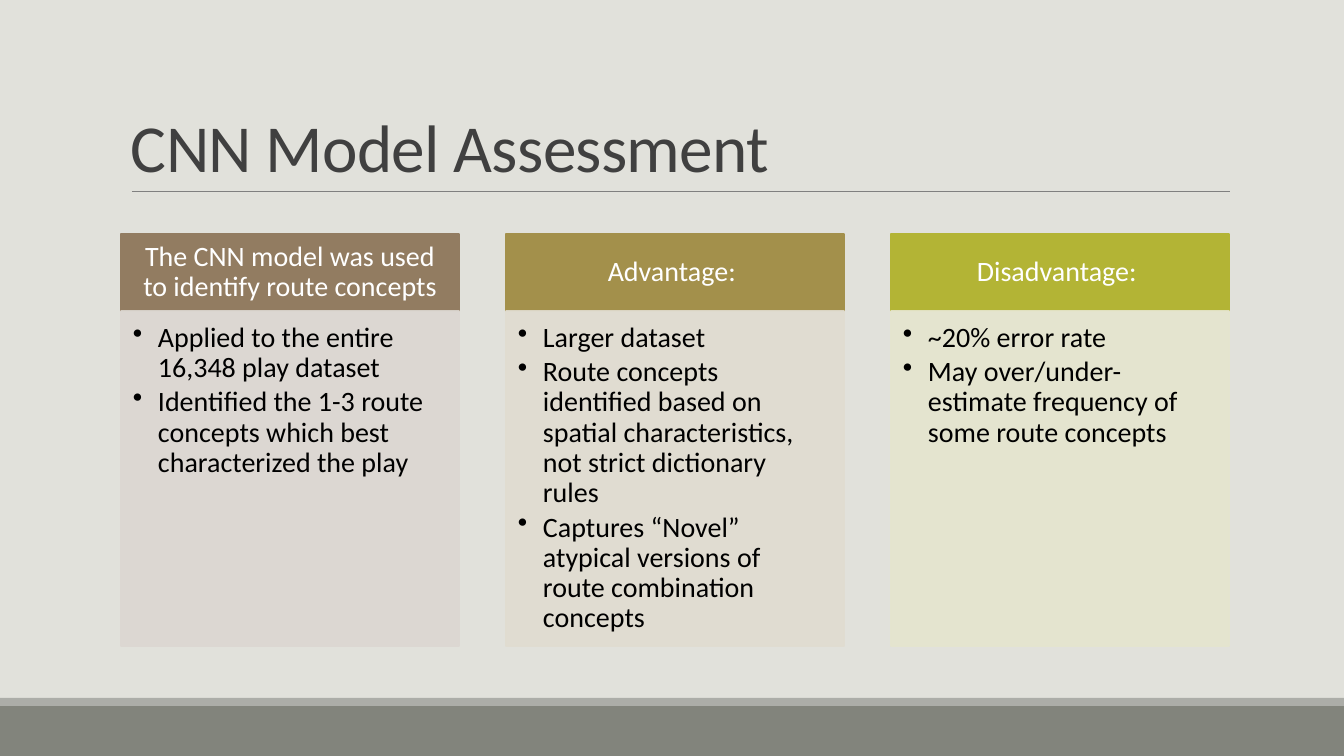
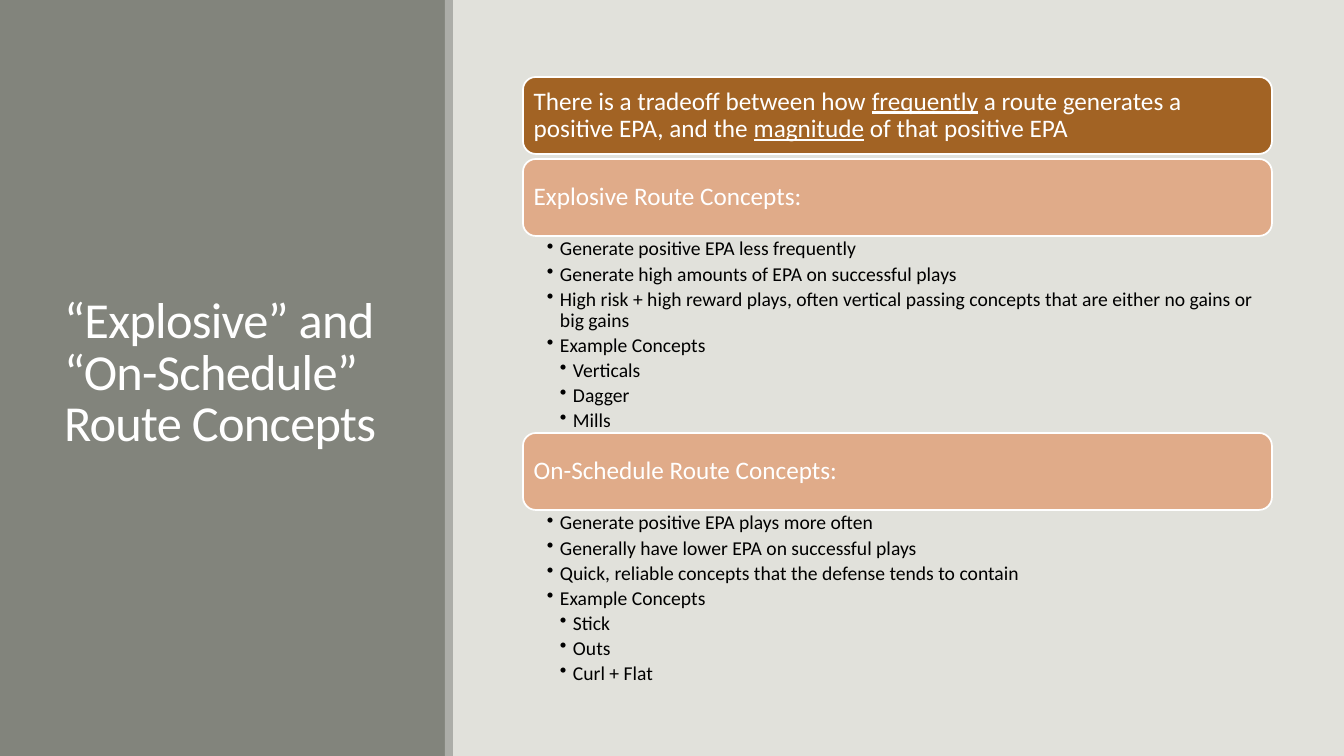
"""Build two slides on route concepts in American football."""
from dataclasses import dataclass

from lxml import etree
from pptx import Presentation
from pptx.dml.color import RGBColor
from pptx.enum.shapes import MSO_CONNECTOR, MSO_SHAPE
from pptx.enum.text import MSO_ANCHOR, MSO_AUTO_SIZE, PP_ALIGN
from pptx.oxml.ns import qn
from pptx.util import Emu, Pt

RECTANGLE = MSO_SHAPE.RECTANGLE
ROUNDED = MSO_SHAPE.ROUNDED_RECTANGLE
STRAIGHT = MSO_CONNECTOR.STRAIGHT
TOP, MIDDLE, BOTTOM = MSO_ANCHOR.TOP, MSO_ANCHOR.MIDDLE, MSO_ANCHOR.BOTTOM
LEFT, CENTER = PP_ALIGN.LEFT, PP_ALIGN.CENTER
NO_AUTOFIT = MSO_AUTO_SIZE.NONE

BACKGROUND = RGBColor(0xE1, 0xE1, 0xDB)
BAND = RGBColor(0x82, 0x84, 0x7C)
STRIP = RGBColor(0xAC, 0xAD, 0xA8)
RULE = RGBColor(0x80, 0x80, 0x80)
DARK = RGBColor(0x40, 0x40, 0x40)
BLACK = RGBColor(0x00, 0x00, 0x00)
WHITE = RGBColor(0xFF, 0xFF, 0xFF)
BROWN = RGBColor(0x92, 0x7C, 0x61)
PALE_BROWN = RGBColor(0xDC, 0xD7, 0xD2)
OCHRE = RGBColor(0xA3, 0x90, 0x4B)
PALE_OCHRE = RGBColor(0xE0, 0xDC, 0xD0)
LIME = RGBColor(0xB3, 0xB4, 0x35)
PALE_LIME = RGBColor(0xE5, 0xE5, 0xCE)
RUST = RGBColor(0xA2, 0x63, 0x24)
PEACH = RGBColor(0xE0, 0xAB, 0x89)

FONT = "Calibri"
SLIDE_WIDTH, SLIDE_HEIGHT = 1344, 756
EMU_PER_PX = 12192000 / SLIDE_WIDTH
TITLE_ONLY = 5


@dataclass(frozen=True)
class Box:
    """A rectangle on the slide, in px."""
    left: int
    top: int
    width: int
    height: int


@dataclass(frozen=True)
class Column:
    """A heading above a tinted panel of bullets."""
    heading: str
    bullets: list[str]
    color: RGBColor
    tint: RGBColor


@dataclass(frozen=True)
class Section:
    """A rounded banner with bullets and examples below it."""
    top: int
    heading: str
    bullets: list[str]
    examples: list[str]


COLUMNS = [
    Column("The CNN model was used to identify route concepts",
           ["Applied to the entire 16,348 play dataset",
            "Identified the 1-3 route concepts which best characterized the play"],
           BROWN, PALE_BROWN),
    Column("Advantage: ",
           ["Larger dataset",
            "Route concepts identified based on spatial characteristics, "
            "not strict dictionary rules",
            "Captures “Novel” atypical versions of route combination concepts"],
           OCHRE, PALE_OCHRE),
    Column("Disadvantage: ",
           ["~20% error rate",
            "May over/under-estimate frequency of some route concepts"],
           LIME, PALE_LIME),
]
COLUMN_LEFT, COLUMN_TOP, COLUMN_WIDTH, COLUMN_PITCH = 121, 234, 338, 385
HEADING_HEIGHT, PANEL_HEIGHT = 77, 335

TRADEOFF = ("There is a tradeoff between how _frequently_ a route generates a "
            "positive EPA, and the _magnitude_ of that positive EPA")
SECTIONS = [
    Section(159, "Explosive Route Concepts:",
            ["Generate positive EPA less frequently",
             "Generate high amounts of EPA on successful plays",
             "High risk + high reward plays, often vertical passing concepts "
             "that are either no gains or big gains",
             "Example Concepts"],
            ["Verticals", "Dagger", "Mills"]),
    Section(433, "On-Schedule Route Concepts:",
            ["Generate positive EPA plays more often",
             "Generally have lower EPA on successful plays",
             "Quick, reliable concepts that the defense tends to contain",
             "Example Concepts"],
            ["Stick", "Outs", "Curl + Flat"]),
]
BANNER_LEFT, BANNER_WIDTH, BANNER_HEIGHT = 523, 749, 77
BULLETS_HEIGHT = 197


def px(length: int) -> Emu:
    """Turn px into EMU."""
    return Emu(round(length * EMU_PER_PX))


def place(box: Box) -> tuple[Emu, Emu, Emu, Emu]:
    """Give the EMU position and size of a box."""
    return px(box.left), px(box.top), px(box.width), px(box.height)


def add_bullet(paragraph, level: int, indent: int) -> None:
    """Give a paragraph a hanging bullet at its level."""
    paragraph.level = level
    properties = paragraph._p.get_or_add_pPr()
    properties.set("marL", str(px(indent * level)))
    properties.set("indent", str(-px(indent)))
    etree.SubElement(properties, qn("a:buChar")).set("char", "•")


def write_text(shape, lines: list[tuple[str, int]], *, size: int, color: RGBColor,
               align=LEFT, anchor=MIDDLE, insets=(10, 5, 10, 5), line_spacing=0.9,
               space_after=0.0, tracking=0, bullet_indent=0) -> None:
    """Write (text, bullet level) lines, underlining words between underscores."""
    frame = shape.text_frame
    frame.word_wrap = True
    frame.auto_size = NO_AUTOFIT
    frame.vertical_anchor = anchor
    (frame.margin_left, frame.margin_top,
     frame.margin_right, frame.margin_bottom) = map(px, insets)
    for index, (text, level) in enumerate(lines):
        paragraph = frame.add_paragraph() if index else frame.paragraphs[0]
        paragraph.alignment = align
        paragraph.line_spacing = line_spacing
        paragraph.space_after = Pt(space_after)
        if level:
            add_bullet(paragraph, level, bullet_indent)
        for position, part in enumerate(text.split("_")):
            run = paragraph.add_run()
            run.text = part
            run.font.name = FONT
            run.font.size = Pt(size)
            run.font.color.rgb = color
            if position % 2:
                run.font.underline = True
            if tracking:
                run._r.get_or_add_rPr().set("spc", str(tracking))


def add_block(slide, box: Box, fill: RGBColor, *, outline: RGBColor | None = None,
              kind=RECTANGLE, opacity=100):
    """Draw a filled shape with an optional outline."""
    shape = slide.shapes.add_shape(kind, *place(box))
    shape.shadow.inherit = False
    shape.fill.solid()
    shape.fill.fore_color.rgb = fill
    if outline is None:
        shape.line.fill.background()
    else:
        shape.line.color.rgb = outline
        shape.line.width = Pt(1.25)
    if opacity < 100:
        for color in shape._element.spPr.iter(qn("a:srgbClr")):
            etree.SubElement(color, qn("a:alpha")).set("val", str(opacity * 1000))
    return shape


def add_rule(slide, left: int, right: int, top: int) -> None:
    """Draw the thin line under a title."""
    rule = slide.shapes.add_connector(STRAIGHT, px(left), px(top), px(right), px(top))
    rule.line.color.rgb = RULE
    rule.line.width = Pt(0.5)
    etree.SubElement(rule._element.spPr, qn("a:effectLst"))


def add_slide(presentation, band: Box, strip: Box, title: str, title_box: Box, *,
              size: int, color: RGBColor, anchor):
    """Add a slide with its band, its strip and its title in front."""
    slide = presentation.slides.add_slide(presentation.slide_layouts[TITLE_ONLY])
    add_block(slide, band, BAND)
    add_block(slide, strip, STRIP)
    placeholder = slide.shapes.title
    placeholder.left, placeholder.top, placeholder.width, placeholder.height = place(title_box)
    write_text(placeholder, [(title, 0)], size=size, color=color, anchor=anchor,
               line_spacing=0.85, tracking=-50)
    slide.shapes._spTree.append(placeholder._element)
    return slide


def add_column(slide, column: Column, left: int) -> None:
    """Draw a heading and its panel of bullets."""
    heading = add_block(slide, Box(left, COLUMN_TOP, COLUMN_WIDTH, HEADING_HEIGHT),
                        column.color, outline=column.color)
    write_text(heading, [(column.heading, 0)], size=20, color=WHITE, align=CENTER,
               insets=(16, 9, 16, 9))
    panel = add_block(
        slide, Box(left, COLUMN_TOP + HEADING_HEIGHT, COLUMN_WIDTH, PANEL_HEIGHT),
        column.tint, outline=column.tint, opacity=90)
    write_text(panel, [(text, 1) for text in column.bullets], size=20, color=BLACK,
               anchor=TOP, insets=(12, 12, 16, 17), space_after=3, bullet_indent=25)


def add_banner(slide, text: str, top: int, fill: RGBColor) -> None:
    """Draw a rounded banner with its text."""
    banner = add_block(slide, Box(BANNER_LEFT, top, BANNER_WIDTH, BANNER_HEIGHT), fill,
                       outline=WHITE, kind=ROUNDED)
    write_text(banner, [(text, 0)], size=18, color=WHITE, insets=(7, 7, 7, 7))


def add_section(slide, section: Section) -> None:
    """Draw a banner and the bullets below it."""
    add_banner(slide, section.heading, section.top, PEACH)
    box = Box(BANNER_LEFT, section.top + BANNER_HEIGHT, BANNER_WIDTH, BULLETS_HEIGHT)
    lines = [(text, 1) for text in section.bullets]
    lines += [(text, 2) for text in section.examples]
    write_text(slide.shapes.add_textbox(*place(box)), lines, size=14, color=BLACK,
               anchor=TOP, insets=(24, 3, 14, 3), space_after=2.8, bullet_indent=13)


def build_assessment(presentation) -> None:
    """Build the slide that assesses the model."""
    slide = add_slide(presentation, Box(0, 706, SLIDE_WIDTH, 50),
                      Box(0, 698, SLIDE_WIDTH, 8), "CNN Model Assessment",
                      Box(121, 31, 1109, 160), size=48, color=DARK, anchor=BOTTOM)
    add_rule(slide, 132, 1230, 191)
    for index, column in enumerate(COLUMNS):
        add_column(slide, column, COLUMN_LEFT + index * COLUMN_PITCH)


def build_concepts(presentation) -> None:
    """Build the slide that compares the two kinds of concept."""
    slide = add_slide(presentation, Box(0, 0, 446, SLIDE_HEIGHT),
                      Box(445, 0, 8, SLIDE_HEIGHT),
                      "“Explosive” and “On-Schedule” Route Concepts",
                      Box(54, 57, 340, 636), size=36, color=WHITE, anchor=MIDDLE)
    add_banner(slide, TRADEOFF, 77, RUST)
    for section in SECTIONS:
        add_section(slide, section)


def main() -> None:
    """Build and save the presentation."""
    presentation = Presentation()
    presentation.slide_width = px(SLIDE_WIDTH)
    presentation.slide_height = px(SLIDE_HEIGHT)
    background = presentation.slide_master.background.fill
    background.solid()
    background.fore_color.rgb = BACKGROUND
    build_assessment(presentation)
    build_concepts(presentation)
    presentation.save("out.pptx")


if __name__ == "__main__":
    main()
